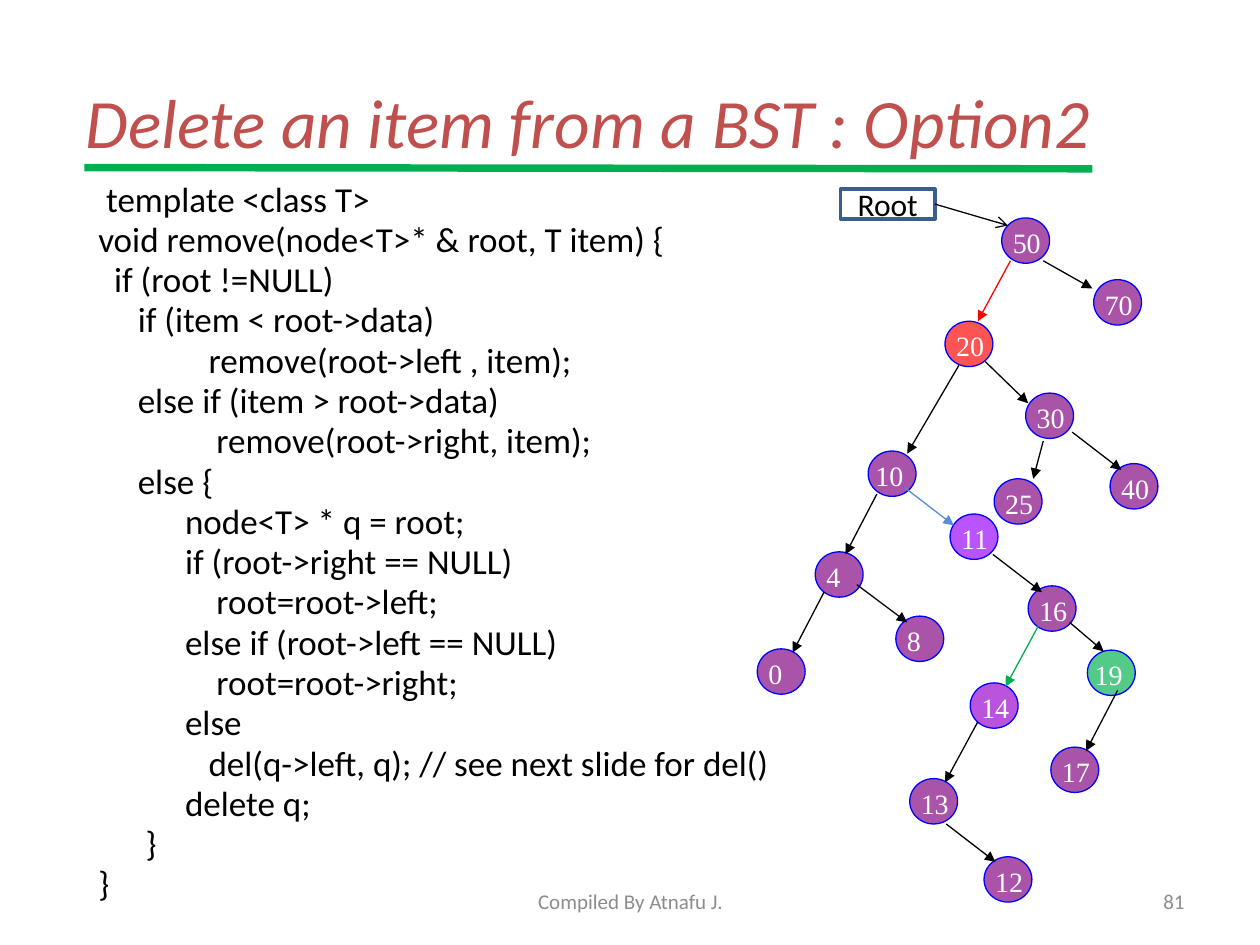
from dataclasses import dataclass

import pptx
import pptx.dml.color
import pptx.enum.shapes
import pptx.enum.text
import pptx.oxml.ns
import pptx.util
from lxml import etree

Shape = pptx.enum.shapes.MSO_SHAPE
Align = pptx.enum.text.PP_ALIGN
Anchor = pptx.enum.text.MSO_ANCHOR
Pt = pptx.util.Pt
qn = pptx.oxml.ns.qn

COLS, ROWS = 100, 75
NODE_W, NODE_H = 3.8, 3.6
PURPLE, BLACK, GRAY = "800080", "000000", "8C8C8C"
SANS, SERIF = "Calibri", "Times New Roman"

CODE = """ template <class T>
void remove(node<T>* & root, T item) {
  if (root !=NULL)
     if (item < root->data)
\t\tremove(root->left , item);
     else if (item > root->data)
\t\t remove(root->right, item);
     else {
\t     node<T> * q = root;
\t     if (root->right == NULL)
\t\t root=root->left;
\t     else if (root->left == NULL)
\t\t root=root->right;
\t     else
\t\tdel(q->left, q); // see next slide for del()
\t     delete q;
\t}
}"""


@dataclass
class Node:
    key: str
    col: float
    row: float
    color: str = PURPLE
    label_shift: float = -0.1


@dataclass
class Line:
    col1: float
    row1: float
    col2: float
    row2: float
    color: str = BLACK
    width: float = 0.75
    head: str = "triangle"


NODES = [
    Node("50", 79.5, 17.3),
    Node("70", 86.8, 22.2),
    Node("20", 75, 25.5, "FF0000"),
    Node("30", 81.4, 31.2),
    Node("10", 68.9, 35.8, label_shift=-0.4),
    Node("25", 78.9, 38),
    Node("40", 88.1, 36.8),
    Node("11", 75.4, 40.8, "9900FF"),
    Node("4", 64.7, 43.8),
    Node("8", 71.1, 48.9),
    Node("0", 60.1, 51.5),
    Node("16", 81.6, 46.5),
    Node("19", 86.3, 51.6, "00B050", -0.4),
    Node("14", 77, 54.2, "9900CC"),
    Node("17", 83.4, 59.3),
    Node("13", 72.2, 61.8),
    Node("12", 78.1, 68),
]

LINES = [
    Line(6.7, 13.3, 86.7, 13.4, "00B050", 4.25, ""),
    Line(74.2, 16.2, 80, 17.9, head="arrow"),
    Line(80.2, 20.7, 77.6, 25.5, "FF0000"),
    Line(82.8, 20.7, 86.7, 22.9),
    Line(76.1, 29, 72, 36),
    Line(78.2, 28.7, 81.6, 32),
    Line(82.8, 35, 82, 38),
    Line(85.1, 34.3, 89, 37.3),
    Line(69.6, 39.2, 67.1, 44),
    Line(71.8, 38.7, 75.7, 41.7, "558ED5"),
    Line(65.4, 47, 62.9, 51.8),
    Line(68, 46.4, 72, 49.4),
    Line(78.8, 44, 82.7, 47),
    Line(82.4, 49.7, 79.8, 54.5, "00B050"),
    Line(84.9, 49.4, 87.6, 51.7),
    Line(77.6, 57.3, 75, 62.1),
    Line(88.7, 54.8, 86.2, 59.6),
    Line(75.1, 65.4, 79, 68.4),
]

prs = pptx.Presentation()
prs.slide_width = pptx.util.Inches(10)
prs.slide_height = pptx.util.Inches(7.5)
s = prs.slides.add_slide(prs.slide_layouts[1])


def x(col: float) -> int:
    return round(prs.slide_width * col / COLS)


def y(row: float) -> int:
    return round(prs.slide_height * row / ROWS)


def area(col: float, row: float, w: float, h: float) -> tuple[int, int, int, int]:
    return x(col), y(row), x(w), y(h)


def rgb(color: str) -> pptx.dml.color.RGBColor:
    return pptx.dml.color.RGBColor.from_string(color)


def add_run(p, text: str, size: float, color: str, font: str = SANS,
            italic: bool = False) -> None:
    r = p.add_run()
    r.text = text
    r.font.size = Pt(size)
    r.font.name = font
    r.font.italic = italic
    r.font.color.rgb = rgb(color)


def add_label(text: str, box: tuple[int, int, int, int], size: float, color: str,
              font: str = SANS, align: Align = Align.LEFT,
              anchor: Anchor = Anchor.TOP) -> None:
    tf = s.shapes.add_textbox(*box).text_frame
    tf.word_wrap = True
    tf.vertical_anchor = anchor
    tf.paragraphs[0].alignment = align
    add_run(tf.paragraphs[0], text, size, color, font)


def add_node(node: Node) -> None:
    sp = s.shapes.add_shape(Shape.OVAL, *area(node.col, node.row, NODE_W, NODE_H))
    sp.shadow.inherit = False
    sp.fill.solid()
    sp.fill.fore_color.rgb = rgb(node.color)
    clr = sp.fill._xPr.find(qn("a:solidFill"))[0]
    etree.SubElement(clr, qn("a:alpha"), val="67000")
    sp.line.color.rgb = rgb("0000FF")
    sp.line.width = Pt(0.75)
    box = area(node.col + node.label_shift, node.row + 0.1, 5, NODE_H)
    add_label(node.key, box, 16, "FFFFFF", SERIF)


def add_line(line: Line) -> None:
    sp = s.shapes.add_connector(
        pptx.enum.shapes.MSO_CONNECTOR.STRAIGHT,
        x(line.col1), y(line.row1), x(line.col2), y(line.row2))
    sp.line.color.rgb = rgb(line.color)
    sp.line.width = Pt(line.width)
    if line.head:
        etree.SubElement(sp.line._get_or_add_ln(), qn("a:tailEnd"), type=line.head)
    etree.SubElement(sp._element.spPr, qn("a:effectLst"))


def place(sp, box: tuple[int, int, int, int], anchor: Anchor):
    sp.left, sp.top, sp.width, sp.height = box
    tf = sp.text_frame
    tf.auto_size = pptx.enum.text.MSO_AUTO_SIZE.NONE
    tf.word_wrap = True
    tf.vertical_anchor = anchor
    return tf


def add_root() -> None:
    sp = s.shapes.add_shape(Shape.RECTANGLE, *area(66.7, 15, 7.5, 2.4))
    sp.shadow.inherit = False
    sp.fill.background()
    sp.line.color.rgb = rgb("3A5F8C")
    sp.line.width = Pt(2)
    p = sp.text_frame.paragraphs[0]
    p.alignment = Align.CENTER
    add_run(p, "Root", 18, BLACK)


def main() -> None:
    tf = place(s.shapes.title, area(5.8, 3.3, 90, 12.5), Anchor.MIDDLE)
    tf.paragraphs[0].alignment = Align.LEFT
    add_run(tf.paragraphs[0], "Delete an item from a BST : Option2", 39.6, "C0504D",
            italic=True)

    tf = place(s.placeholders[1], area(6.8, 14.2, 85, 55.8), Anchor.TOP)
    for i, text in enumerate(CODE.split("\n")):
        p = tf.add_paragraph() if i else tf.paragraphs[0]
        p.line_spacing = 0.8
        p.space_before = Pt(3.8 if i else 0)
        pPr = p._p.get_or_add_pPr()
        pPr.set("marL", str(x(3.75)))
        pPr.set("indent", str(-x(3.75)))
        etree.SubElement(pPr, qn("a:buNone"))
        add_run(p, text, 20, BLACK)

    for node in NODES:
        add_node(node)
    add_root()
    for line in LINES:
        add_line(line)

    add_label("Compiled By Atnafu J.", area(34.2, 69.5, 31.7, 4), 12, GRAY,
              align=Align.CENTER, anchor=Anchor.MIDDLE)
    add_label("81", area(71.7, 69.5, 23.3, 4), 12, GRAY,
              align=Align.RIGHT, anchor=Anchor.MIDDLE)
    prs.save("out.pptx")


if __name__ == "__main__":
    main()
